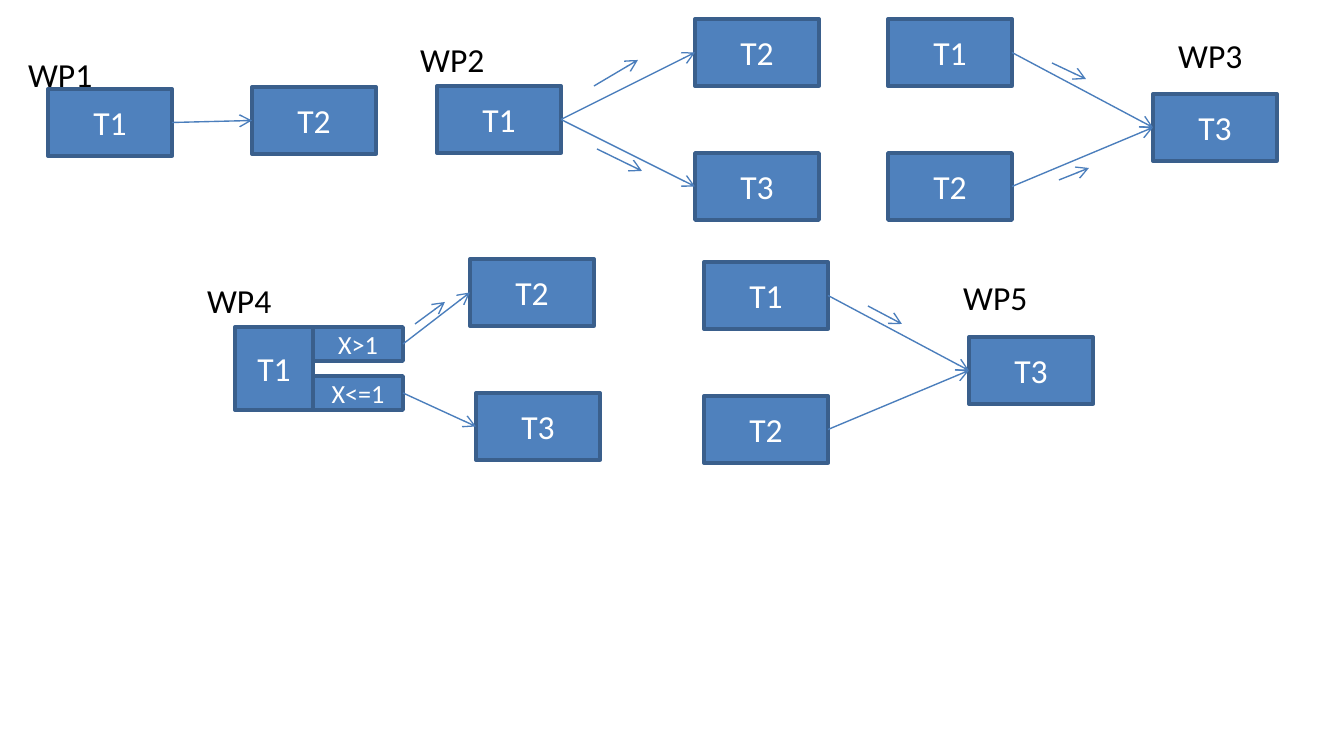
from lxml.etree import SubElement
from pptx import Presentation
from pptx.dml.color import RGBColor
from pptx.enum.shapes import MSO_CONNECTOR as LINE, MSO_SHAPE as SHAPE
from pptx.enum.text import MSO_ANCHOR as ANCHOR, MSO_AUTO_SIZE as AUTO, PP_ALIGN as ALIGN
from pptx.oxml.ns import qn
from pptx.util import Emu, Pt

SCALE = 914400 / 134.4
COLORS = {"task": "4F81BD", "border": "3A5F8C", "arrow": "4B7EBC", "light": "FFFFFF", "dark": "000000"}
TASK_SIZE = (124, 67)
CASE_SIZE = (90, 34)
LABEL_SIZE = (91, 54)
LEFT_SITE, RIGHT_SITE = 1, 3
BRANCH_GAP = 134


def px(value):
    return Emu(round(value * SCALE))


def color(name):
    return RGBColor.from_string(COLORS[name])


def write(frame, text, size, ink):
    frame.text = text
    font = frame.paragraphs[0].runs[0].font
    font.name = "Calibri"
    font.size = Pt(size)
    font.color.rgb = color(ink)


def add_task(slide, text, left, top, extent=TASK_SIZE, size=18):
    task = slide.shapes.add_shape(SHAPE.RECTANGLE, *map(px, (left, top, *extent)))
    task.shadow.inherit = False
    task.fill.solid()
    task.fill.fore_color.rgb = color("task")
    task.line.color.rgb = color("border")
    task.line.width = Pt(2)
    frame = task.text_frame
    write(frame, text, size, "light")
    frame.vertical_anchor = ANCHOR.MIDDLE
    frame.paragraphs[0].alignment = ALIGN.CENTER
    return task


def add_arrow(slide, start, end):
    arrow = slide.shapes.add_connector(LINE.STRAIGHT, *map(px, (*start, *end)))
    arrow.line.color.rgb = color("arrow")
    arrow.line.width = Pt(0.75)
    SubElement(arrow.line._get_or_add_ln(), qn("a:tailEnd"), type="arrow")
    SubElement(arrow._element.spPr, qn("a:effectLst"))
    return arrow


def link(slide, source, target):
    arrow = add_arrow(slide, (0, 0), (0, 0))
    arrow.begin_connect(source, RIGHT_SITE)
    arrow.end_connect(target, LEFT_SITE)


def add_label(slide, text, left, top):
    label = slide.shapes.add_textbox(*map(px, (left, top, *LABEL_SIZE)))
    frame = label.text_frame
    frame.word_wrap = False
    frame.auto_size = AUTO.SHAPE_TO_FIT_TEXT
    write(frame, text, 18, "dark")


def add_sequence(slide):
    first = add_task(slide, "T1", 48, 89)
    second = add_task(slide, "T2", 252, 87)
    link(slide, first, second)


def add_split(slide):
    source = add_task(slide, "T1", 437, 86)
    for row, name in enumerate(("T2", "T3")):
        link(slide, source, add_task(slide, name, 695, 19 + row * BRANCH_GAP))


def add_choice(slide):
    upper_case = add_task(slide, "X>1", 313, 327, CASE_SIZE, 14)
    link(slide, upper_case, add_task(slide, "T2", 470, 259))
    add_task(slide, "T1", 235, 327, (78, 83))
    lower_case = add_task(slide, "X<=1", 313, 376, CASE_SIZE, 14)
    link(slide, lower_case, add_task(slide, "T3", 476, 393))


def add_join(slide, left, top):
    target = add_task(slide, "T3", left + 265, top + 75)
    for row, name in enumerate(("T1", "T2")):
        link(slide, add_task(slide, name, left, top + row * BRANCH_GAP), target)


def main():
    deck = Presentation()
    deck.slide_width, deck.slide_height = px(1344), px(756)
    slide = deck.slides.add_slide(deck.slide_layouts[6])

    add_sequence(slide)
    add_split(slide)
    add_choice(slide)
    add_join(slide, 888, 19)
    add_join(slide, 704, 262)

    flows = [
        ((594, 86), (638, 60)),
        ((597, 149), (642, 171)),
        ((1052, 63), (1086, 79)),
        ((1059, 180), (1089, 168)),
        ((868, 306), (902, 324)),
        ((415, 324), (445, 302)),
    ]
    for start, end in flows:
        add_arrow(slide, start, end)

    label_corners = [(15, 47), (407, 32), (1165, 28), (194, 273), (950, 270)]
    for number, corner in enumerate(label_corners, 1):
        add_label(slide, f"WP{number}", *corner)

    deck.save("out.pptx")


main()
